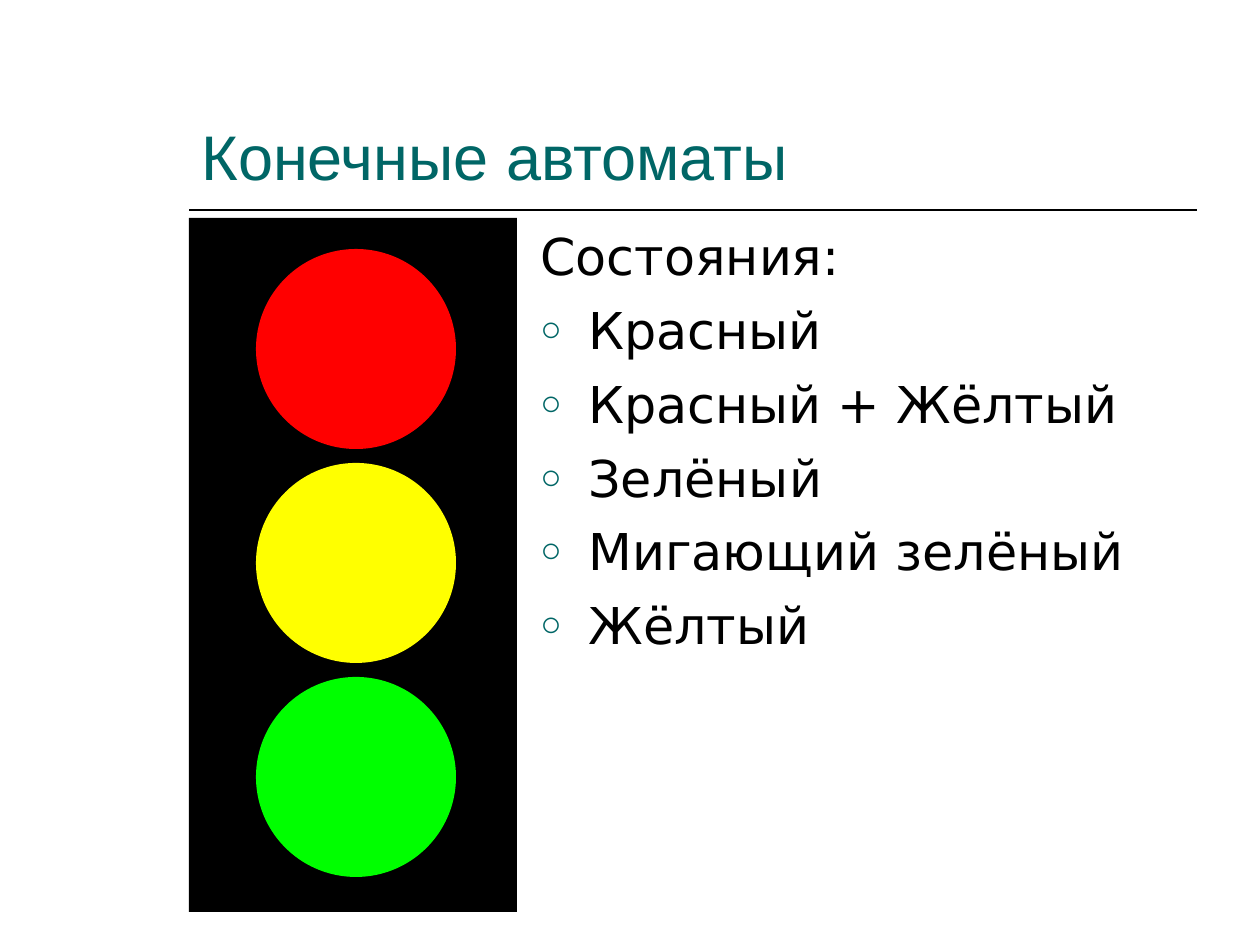
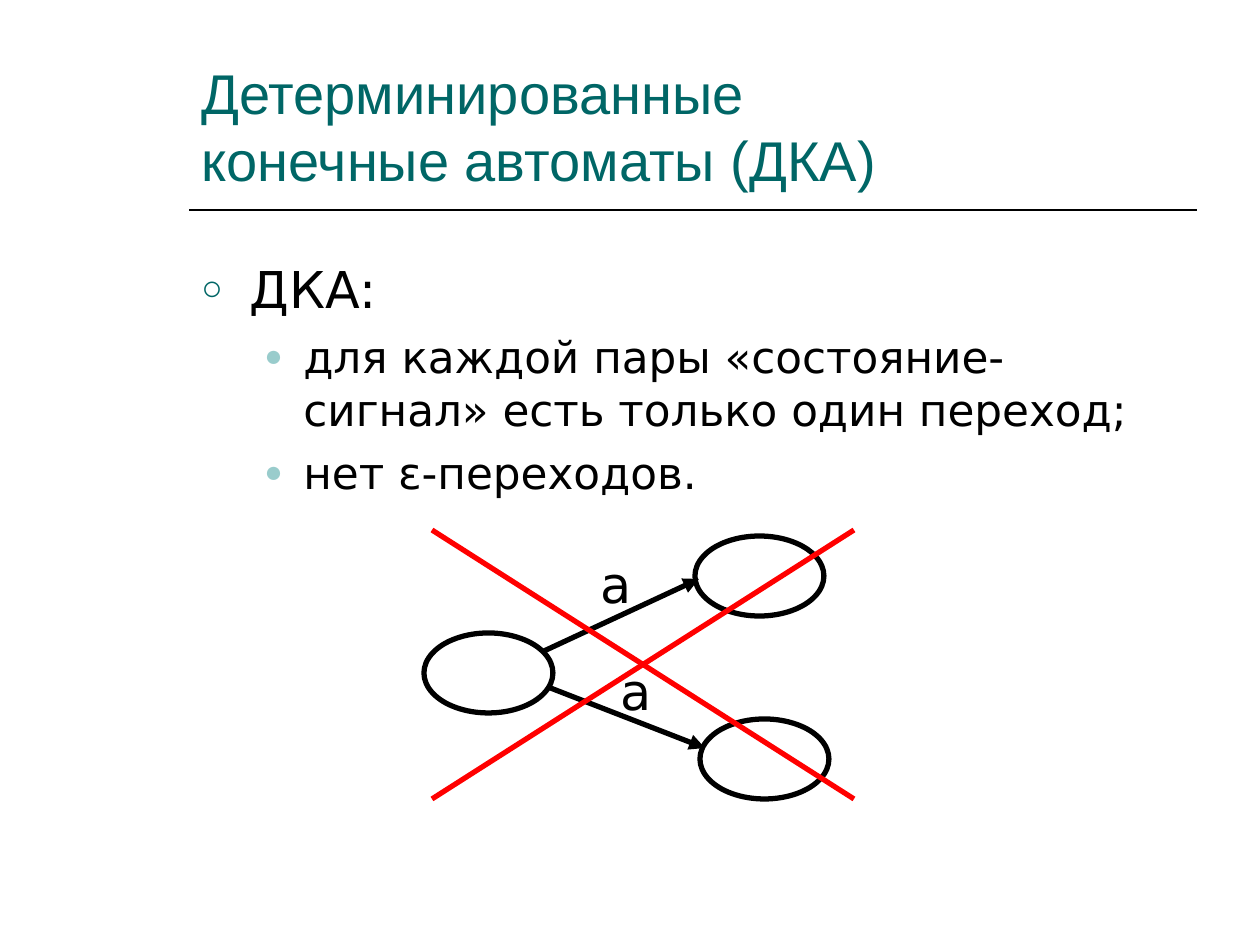
"""Two slides on finite automata: traffic light states and the DFA rule."""
from dataclasses import dataclass
from typing import Optional

import pptx
import pptx.dml.color
import pptx.enum.shapes
import pptx.enum.text
import pptx.oxml
import pptx.oxml.ns
import pptx.util
from pptx.dml.color import RGBColor

TEAL = RGBColor(0x00, 0x66, 0x66)
PALE_TEAL = RGBColor(0x99, 0xCC, 0xCC)
BLACK = RGBColor(0x00, 0x00, 0x00)
RED = RGBColor(0xFF, 0x00, 0x00)
YELLOW = RGBColor(0xFF, 0xFF, 0x00)
GREEN = RGBColor(0x00, 0xFF, 0x00)
TITLE_FONT = "Arial"
BODY_FONT = "DejaVu Sans"
EMU_PER_PIXEL = 914400 / 126
ANCHOR = pptx.enum.text.MSO_ANCHOR
ALIGN = pptx.enum.text.PP_ALIGN
SHAPE = pptx.enum.shapes.MSO_SHAPE


@dataclass(frozen=True)
class Box:
    """A rectangle in pixels."""
    left: int
    top: int
    width: int
    height: int


@dataclass(frozen=True)
class Level:
    """The format of one outline level."""
    size: int
    margin: int = 0
    indent: int = 0
    space_before: float = 0
    bullet: str = ""
    bullet_color: RGBColor = TEAL


@dataclass(frozen=True)
class Arrow:
    """A labelled transition between two states."""
    start: tuple[int, int]
    end: tuple[int, int]
    label: str
    label_box: Box


HEADING = Level(29, 48, -48, 7.3)
ITEM = Level(29, 48, -48, 7.3, "○")
SUBITEM = Level(25, 102, -39, 6.2, "●", PALE_TEAL)
LABEL = Level(29)


def px(pixels: float) -> int:
    """Turn pixels into EMU."""
    return round(pixels * EMU_PER_PIXEL)


def add_child(parent, tag: str, **attributes):
    """Append a DrawingML element to its parent."""
    child = pptx.oxml.parse_xml(f"<a:{tag} {pptx.oxml.ns.nsdecls('a')}/>")
    for key, value in attributes.items():
        child.set(key, str(value))
    parent.append(child)
    return child


def format_paragraph(paragraph, level: Level) -> None:
    """Set the spacing, indent and bullet of a paragraph."""
    paragraph.space_before = pptx.util.Pt(level.space_before)
    properties = paragraph._p.get_or_add_pPr()
    properties.set("marL", str(px(level.margin)))
    properties.set("indent", str(px(level.indent)))
    if not level.bullet:
        add_child(properties, "buNone")
        return
    color = add_child(properties, "buClr")
    add_child(color, "srgbClr", val=level.bullet_color)
    add_child(properties, "buSzPct", val=70000)
    add_child(properties, "buFont", typeface=TITLE_FONT)
    add_child(properties, "buChar", char=level.bullet)


def add_text(slide, box: Box, lines: list[tuple[str, Level]], *, font: str = BODY_FONT,
             color: RGBColor = BLACK, anchor=ANCHOR.TOP, align=ALIGN.LEFT) -> None:
    """Draw a text box with one paragraph per line."""
    frame = slide.shapes.add_textbox(
        px(box.left), px(box.top), px(box.width), px(box.height)).text_frame
    frame.word_wrap = True
    frame.vertical_anchor = anchor
    for number, (text, level) in enumerate(lines):
        paragraph = frame.add_paragraph() if number else frame.paragraphs[0]
        paragraph.alignment = align
        format_paragraph(paragraph, level)
        run = paragraph.add_run()
        run.text = text
        run.font.name = font
        run.font.size = pptx.util.Pt(level.size)
        run.font.color.rgb = color


def add_figure(slide, kind, box: Box, fill: Optional[RGBColor] = None,
               outline: Optional[RGBColor] = None) -> None:
    """Draw a preset shape, filled or outlined."""
    figure = slide.shapes.add_shape(
        kind, px(box.left), px(box.top), px(box.width), px(box.height))
    figure.shadow.inherit = False
    if fill is None:
        figure.fill.background()
    else:
        figure.fill.solid()
        figure.fill.fore_color.rgb = fill
    if outline is None:
        figure.line.fill.background()
    else:
        figure.line.color.rgb = outline
        figure.line.width = pptx.util.Pt(3)


def add_line(slide, start: tuple[int, int], end: tuple[int, int], *,
             color: RGBColor = BLACK, width: float = 3, arrow: bool = False) -> None:
    """Draw a straight line, with an arrowhead on request."""
    line = slide.shapes.add_connector(
        pptx.enum.shapes.MSO_CONNECTOR.STRAIGHT, *map(px, start + end))
    line.line.color.rgb = color
    line.line.width = pptx.util.Pt(width)
    if arrow:
        add_child(line.line._get_or_add_ln(), "tailEnd", type="triangle")
    add_child(line._element.spPr, "effectLst")


def add_titled_slide(deck, title: str, size: int):
    """Add a blank slide with the shared rule and title."""
    slide = deck.slides.add_slide(deck.slide_layouts[6])
    add_line(slide, (189, 210), (1197, 210), width=1)
    add_text(slide, Box(189, 42, 1008, 157), [(title, Level(size))],
             font=TITLE_FONT, color=TEAL, anchor=ANCHOR.BOTTOM)
    return slide


def build_traffic_light(deck) -> None:
    """Build the slide with the traffic light and its states."""
    slide = add_titled_slide(deck, "Конечные автоматы", 36)
    add_figure(slide, SHAPE.RECTANGLE, Box(189, 218, 328, 694), BLACK)
    for number, lamp in enumerate((RED, YELLOW, GREEN)):
        add_figure(slide, SHAPE.OVAL, Box(256, 249 + 214 * number, 200, 200), lamp)
    states = ("Красный", "Красный + Жёлтый", "Зелёный", "Мигающий зелёный", "Жёлтый")
    add_text(slide, Box(528, 219, 732, 726),
             [("Состояния:", HEADING)] + [(state, ITEM) for state in states])


def build_deterministic(deck) -> None:
    """Build the slide with the definition and the forbidden branching."""
    slide = add_titled_slide(
        deck, "Детерминированные конечные\u00a0автоматы (ДКА)", 32)
    add_text(slide, Box(189, 252, 1008, 567), [
        ("ДКА:", ITEM),
        ("для каждой пары «состояние-сигнал» есть только один переход;", SUBITEM),
        ("нет ε-переходов.", SUBITEM),
    ])
    for left, top in ((424, 633), (695, 536), (700, 719)):
        add_figure(slide, SHAPE.OVAL, Box(left, top, 129, 80), outline=BLACK)
    transitions = (
        Arrow((544, 651), (699, 579), "a", Box(580, 547, 72, 74)),
        Arrow((548, 687), (705, 748), "a", Box(600, 654, 72, 74)),
    )
    for transition in transitions:
        add_line(slide, transition.start, transition.end, arrow=True)
    for transition in transitions:
        add_text(slide, transition.label_box, [(transition.label, LABEL)],
                 align=ALIGN.CENTER)
    left, top, right, bottom = 432, 530, 854, 799
    add_line(slide, (left, top), (right, bottom), color=RED)
    add_line(slide, (right, top), (left, bottom), color=RED)


def main() -> None:
    """Build the deck and save it."""
    deck = pptx.Presentation()
    deck.slide_width = px(1260)
    deck.slide_height = px(945)
    build_traffic_light(deck)
    build_deterministic(deck)
    deck.save("out.pptx")


main()
